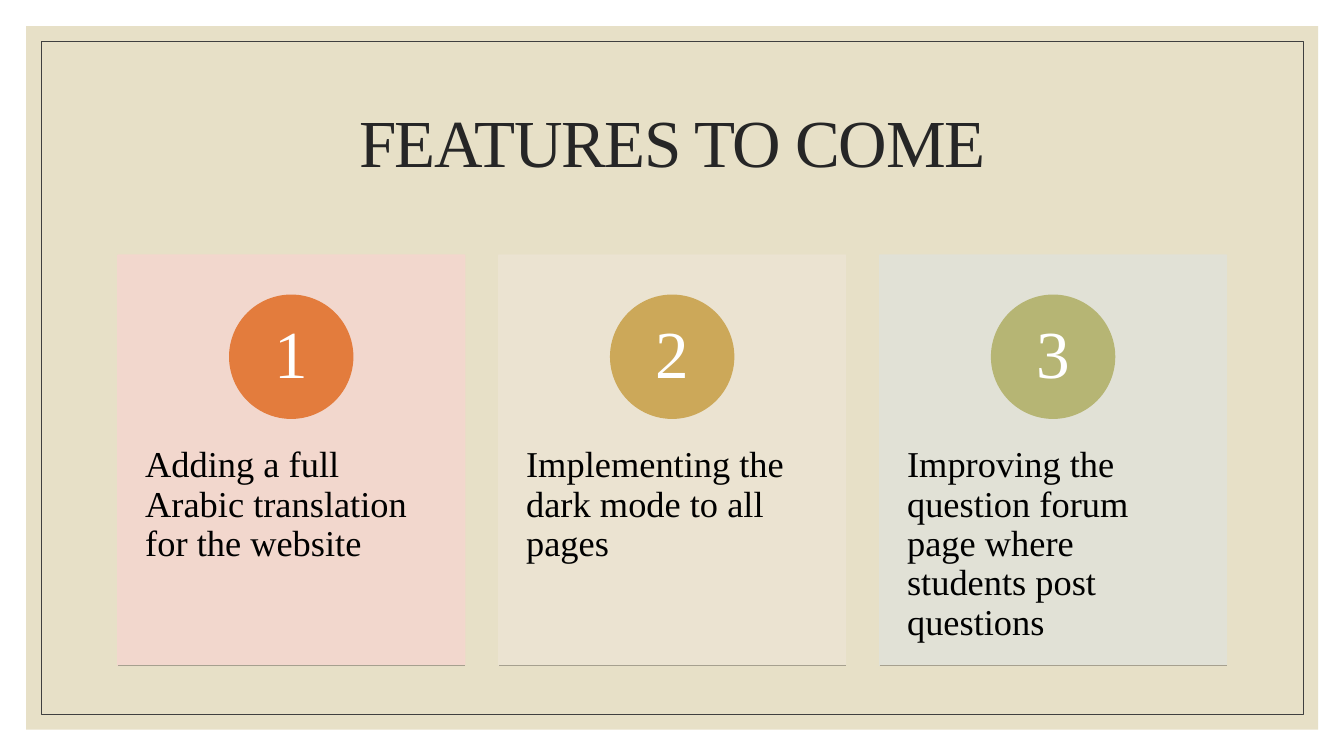
from dataclasses import dataclass

from lxml.etree import SubElement
from pptx import Presentation
from pptx.dml.color import RGBColor
from pptx.enum.shapes import MSO_CONNECTOR, MSO_SHAPE
from pptx.enum.text import MSO_ANCHOR, PP_ALIGN
from pptx.oxml.ns import qn
from pptx.util import Cm, Pt


@dataclass(frozen=True)
class Theme:
    """Colours, font and type sizes of the slide."""
    font: str = "Times New Roman"
    back: str = "E7E0C7"
    frame: str = "404040"
    title: str = "262626"
    text: str = "000000"
    digit: str = "FFFFFF"
    rule: str = "A6A08F"
    large: int = 48
    body: int = 26


theme = Theme()


def add_shape(kind, box, fill=None, line=None, width=1):
    """Add a flat shape; box is left, top, width, height in cm."""
    shape = slide.shapes.add_shape(kind, *map(Cm, box))
    shape.shadow.inherit = False
    if fill:
        shape.fill.solid()
        shape.fill.fore_color.rgb = RGBColor.from_string(fill)
    else:
        shape.fill.background()
    if line:
        shape.line.color.rgb = RGBColor.from_string(line)
        shape.line.width = Pt(width)
    else:
        shape.line.fill.background()
    return shape


def set_text(shape, text, size, color, align, anchor, pad=(0.25, 0.13)):
    """Write one paragraph; pad is the side and top inset in cm."""
    frame = shape.text_frame
    frame.word_wrap = True
    frame.vertical_anchor = anchor
    frame.margin_left = frame.margin_right = Cm(pad[0])
    frame.margin_top = frame.margin_bottom = Cm(pad[1])
    frame.text = text
    par = frame.paragraphs[0]
    par.alignment = align
    par.line_spacing = 0.9
    par.font.name = theme.font
    par.font.size = Pt(size)
    par.font.color.rgb = RGBColor.from_string(color)
    return par


deck = Presentation()
deck.slide_width, deck.slide_height = Cm(33.87), Cm(19.05)
slide = deck.slides.add_slide(deck.slide_layouts[5])

# Background panel and thin frame, placed behind the title
panel = add_shape(MSO_SHAPE.RECTANGLE, (0.66, 0.66, 32.56, 17.73), theme.back)
border = add_shape(MSO_SHAPE.RECTANGLE, (1.04, 1.04, 31.8, 16.97),
                   line=theme.frame, width=0.5)
title = slide.shapes.title
border._element.addnext(title._element)

title.left, title.top = Cm(2.97), Cm(1.78)
title.width, title.height = Cm(27.94), Cm(3.81)
head = set_text(title, "FEATURES TO COME", theme.large, theme.title,
                PP_ALIGN.CENTER, MSO_ANCHOR.MIDDLE)
head.runs[0].font._element.set("spc", "-100")

# Three numbered cards
cards = [
    ("Adding a full Arabic translation for the website", "F4D7CE", "E37C3D"),
    ("Implementing the dark mode to all pages", "ECE4D3", "CCA859"),
    ("Improving the question forum page where students post questions",
     "E1E2D8", "B6B574"),
]
left, top, wide, high = 2.97, 6.43, 8.74, 10.34
step, disc = 9.6, 3.1

for i, (text, tint, accent) in enumerate(cards):
    x = left + i * step
    card = add_shape(MSO_SHAPE.RECTANGLE, (x, top, wide, high), tint, tint)
    for color in card._element.spPr.iter(qn("a:srgbClr")):
        SubElement(color, qn("a:alpha"), val="90000")

    label = slide.shapes.add_textbox(Cm(x), Cm(10.34), Cm(wide), Cm(6.2))
    set_text(label, text, theme.body, theme.text, PP_ALIGN.LEFT,
             MSO_ANCHOR.TOP, (0.69, 0.91))

    badge = add_shape(MSO_SHAPE.OVAL,
                      (x + (wide - disc) / 2, 7.44, disc, disc), accent, accent)
    set_text(badge, str(i + 1), theme.large, theme.digit, PP_ALIGN.CENTER,
             MSO_ANCHOR.MIDDLE, (0, 0))

    base = slide.shapes.add_connector(MSO_CONNECTOR.STRAIGHT, Cm(x),
                                      Cm(top + high), Cm(x + wide), Cm(top + high))
    base.line.color.rgb = RGBColor.from_string(theme.rule)
    base.line.width = Pt(0.75)
    SubElement(base._element.spPr, qn("a:effectLst"))

deck.save("out.pptx")
